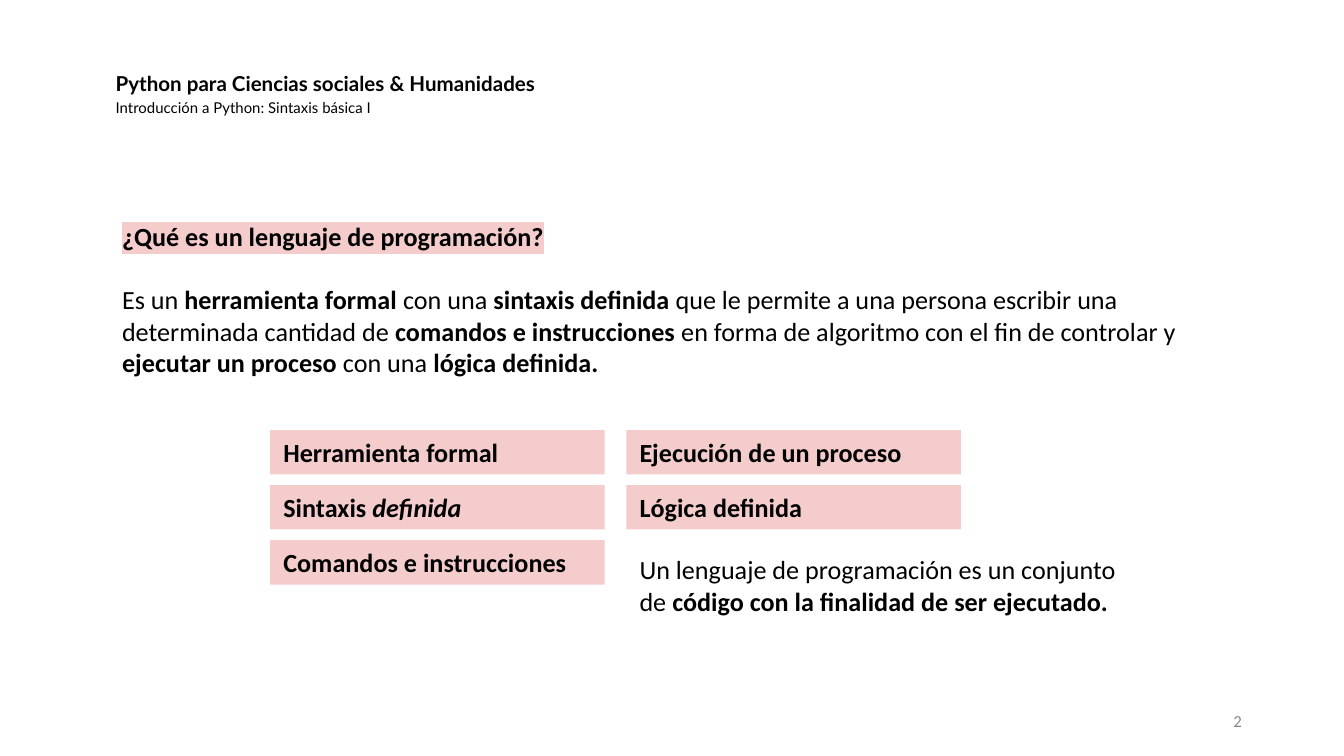
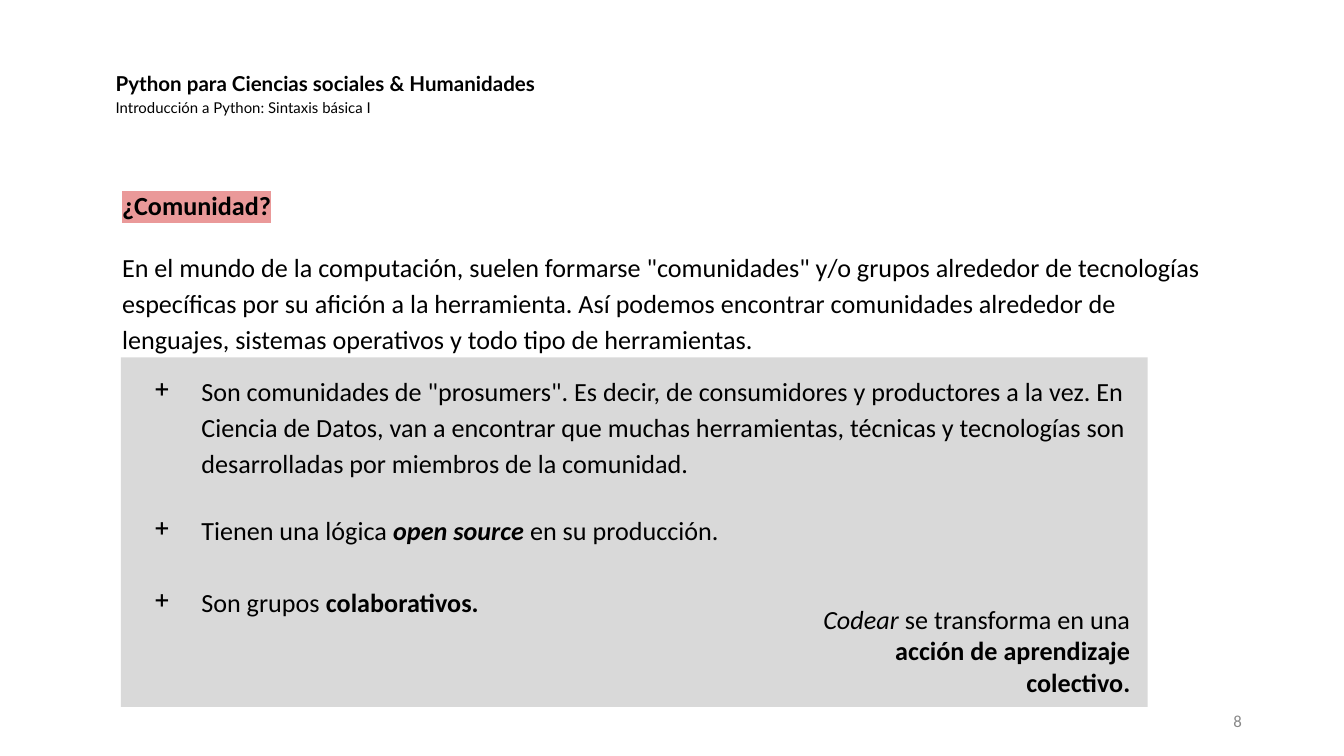
from lxml.etree import SubElement
from pptx import Presentation
from pptx.dml.color import RGBColor
from pptx.enum.shapes import MSO_SHAPE
from pptx.enum.text import MSO_ANCHOR as Anchor, MSO_AUTO_SIZE as AutoSize, PP_ALIGN as Align
from pptx.oxml.ns import qn
from pptx.util import Inches, Pt

BLACK = RGBColor(0x00, 0x00, 0x00)
NUMBER_GRAY = RGBColor(0x88, 0x88, 0x88)
PANEL_GRAY = RGBColor(0xD9, 0xD9, 0xD9)
PINK = RGBColor(0xF4, 0xCC, 0xCC)
ROSE = RGBColor(0xEA, 0x99, 0x99)

# Run styles: plain, bold, italic, both
PLAIN, BOLD, ITALIC = {}, {"bold": True}, {"italic": True}
BOLD_ITALIC = BOLD | ITALIC

# Shared header
HEADER = [
    ([("Python para Ciencias sociales & Humanidades", BOLD | {"size": Pt(11)})], {"line_spacing": 1.15}),
    ([("Introducción a Python: Sintaxis básica I", {"size": Pt(8)})], {"line_spacing": 1.15}),
]

# Slide 2: programming language
LANGUAGE = [
    ([("¿Qué es un lenguaje de programación?", BOLD | {"highlight": PINK})], {}),
    ([
        ("Es un ", PLAIN), ("herramienta formal ", BOLD),
        ("con una ", PLAIN), ("sintaxis definida", BOLD),
        (" que le permite a una persona escribir una determinada cantidad de ", PLAIN),
        ("comandos e instrucciones", BOLD),
        (" en forma de algoritmo con el fin de controlar y ", PLAIN),
        ("ejecutar un proceso", BOLD), (" con una ", PLAIN), ("lógica definida.", BOLD),
    ], {"space_before": Pt(17)}),
]
FEATURE_COLUMNS = [
    [
        [("Herramienta formal", BOLD)],
        [("Sintaxis ", BOLD), ("definida", BOLD_ITALIC)],
        [("Comandos e instrucciones", BOLD)],
    ],
    [
        [("Ejecución de un proceso", BOLD)],
        [("Lógica definida", BOLD)],
    ],
]
CONCLUSION = [
    ([("Un lenguaje de programación es un conjunto de ", PLAIN),
      ("código con la finalidad de ser ejecutado.", BOLD)], {}),
]

# Slide 8: community
COMMUNITY = [
    ([("¿Comunidad?", BOLD | {"highlight": ROSE})], {}),
    ([("En el mundo de la computación, suelen formarse \"comunidades\" y/o grupos alrededor de "
       "tecnologías específicas por su afición a la herramienta. Así podemos encontrar comunidades "
       "alrededor de lenguajes, sistemas operativos y todo tipo de herramientas.", PLAIN)],
     {"line_spacing": 1.15, "space_before": Pt(14)}),
]
BULLET = {"line_spacing": 1.15, "bullet": "+"}
TRAITS = [
    ([("Son comunidades de \"prosumers\". Es decir, de consumidores y productores a la vez. En Ciencia "
       "de Datos, van a encontrar que muchas herramientas, técnicas y tecnologías son desarrolladas "
       "por miembros de la comunidad.", PLAIN)], BULLET),
    ([("Tienen una lógica", PLAIN), (" open source", BOLD_ITALIC), (" en su producción.", PLAIN)],
     BULLET | {"space_before": Pt(16.5)}),
    ([("Son grupos ", PLAIN), ("colaborativos.", BOLD)], BULLET | {"space_before": Pt(19.5)}),
]
LEARNING = [
    ([("Codear ", ITALIC), ("se transforma en una ", PLAIN),
      ("acción de aprendizaje colectivo.", BOLD)], {"alignment": Align.RIGHT}),
]

# Feature grid, in inches
GRID_LEFT, GRID_TOP = 2.01, 3.2
COLUMN_STEP, ROW_STEP = 2.65, 0.41
FEATURE_WIDTH, FEATURE_HEIGHT = 2.49, 0.33


def set_bullet(paragraph, symbol):
    props = paragraph._p.get_or_add_pPr()
    props.set("marL", str(Inches(0.5)))
    props.set("indent", str(Inches(-0.35)))
    color = SubElement(props, qn("a:buClr"))
    SubElement(color, qn("a:srgbClr"), val=str(BLACK))
    SubElement(props, qn("a:buChar"), char=symbol)


def set_highlight(run, color):
    props = run._r.get_or_add_rPr()
    mark = SubElement(props, qn("a:highlight"))
    SubElement(mark, qn("a:srgbClr"), val=str(color))
    props.find(qn("a:solidFill")).addnext(mark)


def write(frame, content, font="Calibri", size=14, color=BLACK, anchor=Anchor.TOP, insets=(0.1, 0.1)):
    frame.word_wrap = True
    frame.auto_size = AutoSize.NONE
    frame.vertical_anchor = anchor
    frame.margin_left = frame.margin_right = Inches(insets[0])
    frame.margin_top = frame.margin_bottom = Inches(insets[1])
    for index, (runs, layout) in enumerate(content):
        paragraph = frame.add_paragraph() if index else frame.paragraphs[0]
        for name, value in ({"alignment": Align.LEFT} | layout).items():
            if name == "bullet":
                set_bullet(paragraph, value)
            else:
                setattr(paragraph, name, value)
        for text, style in runs:
            run = paragraph.add_run()
            run.text = text
            run.font.color.rgb = color
            base = {"name": font, "size": Pt(size), "bold": False, "italic": False}
            for name, value in (base | style).items():
                if name == "highlight":
                    set_highlight(run, value)
                else:
                    setattr(run.font, name, value)


def add_text(slide, box, content, **options):
    write(slide.shapes.add_textbox(*map(Inches, box)).text_frame, content, **options)


def add_panel(slide, box, fill, content, **options):
    panel = slide.shapes.add_shape(MSO_SHAPE.RECTANGLE, *map(Inches, box))
    panel.shadow.inherit = False
    panel.fill.solid()
    panel.fill.fore_color.rgb = fill
    panel.line.fill.background()
    write(panel.text_frame, content, **options)


def add_slide(deck, number):
    slide = deck.slides.add_slide(deck.slide_layouts[5])
    header = slide.shapes.title
    for name, value in {"left": 0.79, "top": 0.43, "width": 8.7, "height": 0.83}.items():
        setattr(header, name, Inches(value))
    write(header.text_frame, HEADER, font="Lato", insets=(0.07, 0.07))
    add_text(slide, (7.06, 5.21, 2.25, 0.3), [([(number, PLAIN)], {"alignment": Align.RIGHT})],
             size=9, color=NUMBER_GRAY, anchor=Anchor.MIDDLE, insets=(0.07, 0.04))
    return slide


def build_language(deck):
    slide = add_slide(deck, "2")
    add_text(slide, (0.81, 1.54, 8.37, 1.41), LANGUAGE)
    for column, features in enumerate(FEATURE_COLUMNS):
        for row, feature in enumerate(features):
            box = (GRID_LEFT + column * COLUMN_STEP, GRID_TOP + row * ROW_STEP,
                   FEATURE_WIDTH, FEATURE_HEIGHT)
            add_panel(slide, box, PINK, [(feature, {})], anchor=Anchor.MIDDLE)
    # The conclusion fills the free cell of the grid
    add_text(slide, (GRID_LEFT + COLUMN_STEP, GRID_TOP + 2 * ROW_STEP, 3.79, 1.01), CONCLUSION)


def build_community(deck):
    slide = add_slide(deck, "8")
    add_text(slide, (0.81, 1.31, 8.3, 1.39), COMMUNITY)
    add_panel(slide, (0.9, 2.66, 7.64, 2.6), PANEL_GRAY, TRAITS)
    add_panel(slide, (5.98, 4.39, 2.53, 0.62), PANEL_GRAY, LEARNING)


def main():
    deck = Presentation()
    # Widescreen, 16:9
    deck.slide_width = Inches(10)
    deck.slide_height = deck.slide_width * 9 // 16
    build_language(deck)
    build_community(deck)
    deck.save("out.pptx")


if __name__ == "__main__":
    main()
